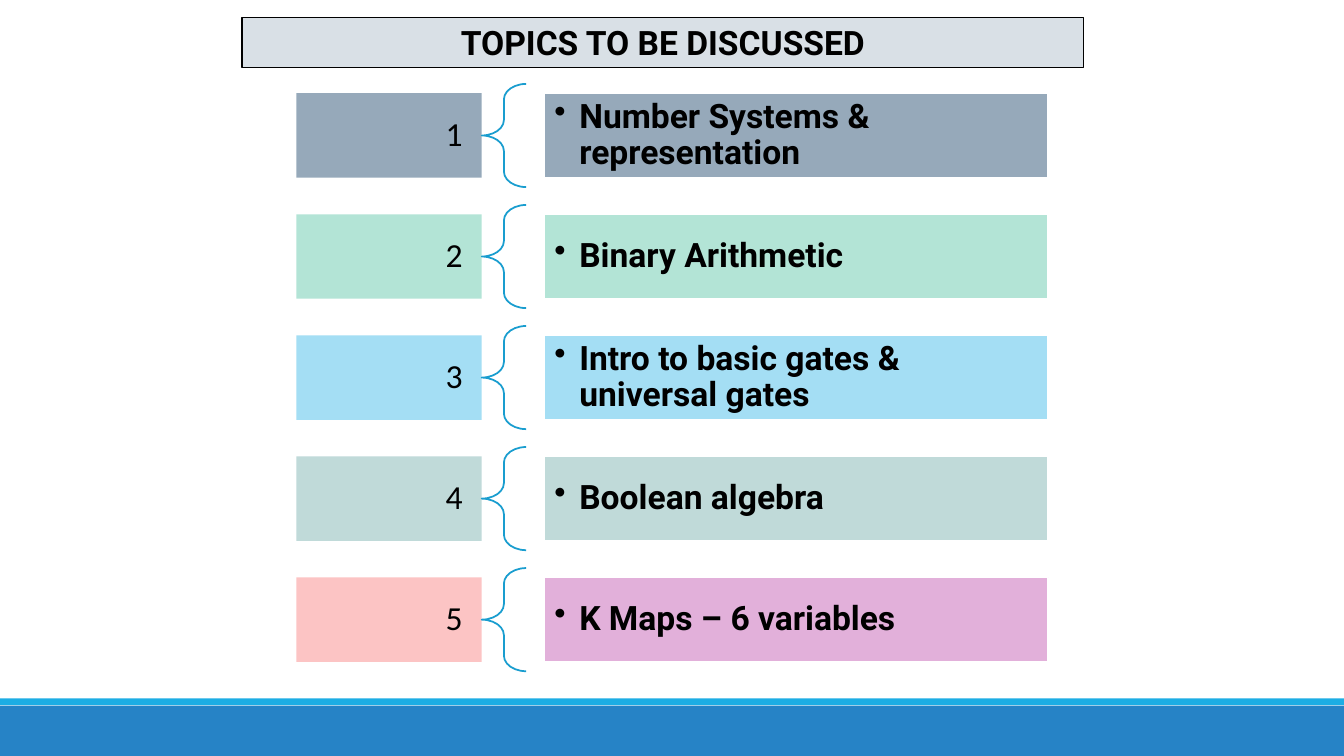
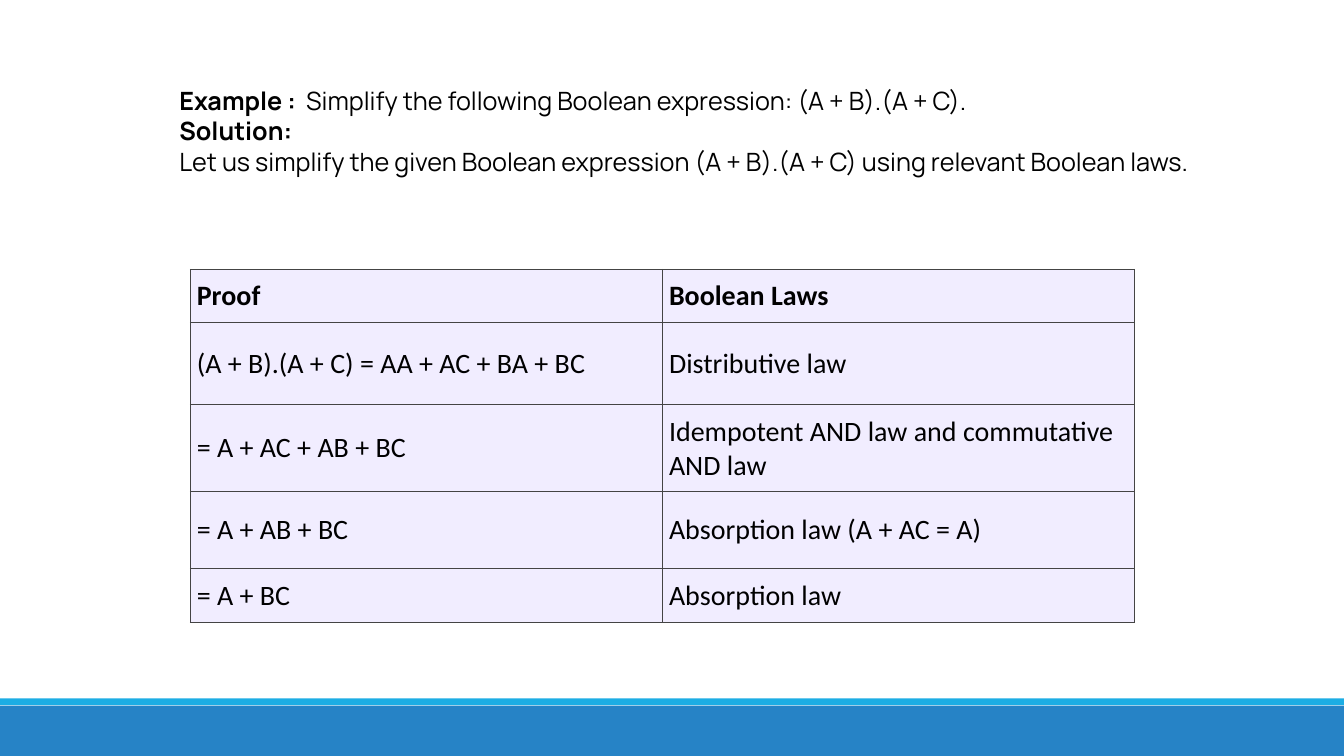
from lxml import etree
from pptx import Presentation
from pptx.dml.color import RGBColor
from pptx.enum.shapes import MSO_SHAPE
from pptx.enum.text import MSO_ANCHOR, PP_ALIGN
from pptx.oxml.ns import qn
from pptx.util import Cm, Pt

RECT = MSO_SHAPE.RECTANGLE
BRACE = MSO_SHAPE.LEFT_BRACE
MID = MSO_ANCHOR.MIDDLE
LEFT, CENTER, RIGHT = PP_ALIGN.LEFT, PP_ALIGN.CENTER, PP_ALIGN.RIGHT

HUES = {
    "band": "2683C6", "strip": "1CADE4", "brace": "199DCF",
    "title": "D9E0E6", "text": "000000", "edge": "FFFFFF",
    "slate": "96A9BA", "mint": "B3E4D6", "sky": "A4DEF4",
    "sage": "C0DAD9", "rose": "FCC4C4", "plum": "E2B0DA",
    "cell": "F1EDFF", "grid": "444444",
}
WIDE, HIGH = 33.87, 19.05


def add_box(slide, kind, x, y, w, h, fill=None, line=None, width=1.25):
    box = slide.shapes.add_shape(kind, Cm(x), Cm(y), Cm(w), Cm(h))
    box.shadow.inherit = False
    if fill:
        box.fill.solid()
        box.fill.fore_color.rgb = RGBColor.from_string(HUES[fill])
    else:
        box.fill.background()
    if line:
        box.line.color.rgb = RGBColor.from_string(HUES[line])
        box.line.width = Pt(width)
    else:
        box.line.fill.background()
    box.text_frame.word_wrap = True
    box.text_frame.vertical_anchor = MID
    return box


def add_run(para, text, face, size, bold=False, align=LEFT):
    para.alignment = align
    run = para.add_run()
    run.text = text
    run.font.name = face
    run.font.size = Pt(size)
    run.font.bold = bold
    run.font.color.rgb = RGBColor.from_string(HUES["text"])


deck = Presentation()
deck.slide_width, deck.slide_height = Cm(WIDE), Cm(HIGH)
slides = []
for _ in range(2):
    slide = deck.slides.add_slide(deck.slide_layouts[6])
    add_box(slide, RECT, 0, 17.78, WIDE, 1.27, "band")
    add_box(slide, RECT, 0, 17.6, WIDE, 0.17, "strip")
    slides.append(slide)
agenda, proof = slides

title = add_box(agenda, RECT, 6.1, 0.43, 21.21, 1.28, "title", "text", 0.75)
add_run(title.text_frame.paragraphs[0], "TOPICS TO BE DISCUSSED",
        "Roboto", 24, True, CENTER)

topics = [
    ("Number Systems & representation", "slate", "slate"),
    ("Binary Arithmetic", "mint", "mint"),
    ("Intro to basic gates & universal gates", "sky", "sky"),
    ("Boolean algebra", "sage", "sage"),
    ("K Maps – 6 variables", "rose", "plum"),
]
TOP, STEP, TALL, CURL = 2.35, 3.05, 2.13, 2.6
for i, (topic, left, right) in enumerate(topics):
    y = TOP + i * STEP
    tag = add_box(agenda, RECT, 7.47, y, 4.67, TALL, left)
    tag.text_frame.margin_left = tag.text_frame.margin_right = Cm(0.48)
    para = tag.text_frame.paragraphs[0]
    para.line_spacing = 0.9
    add_run(para, str(i + 1), "Calibri", 24, align=RIGHT)

    brace = add_box(agenda, BRACE, 12.14, y + (TALL - CURL) / 2,
                    1.12, CURL, line="brace")
    brace.adjustments[0] = 0.35

    card = add_box(agenda, RECT, 13.72, y, 12.7, TALL, right, "edge")
    frame = card.text_frame
    frame.margin_left = frame.margin_right = Cm(0.25)
    frame.margin_top = frame.margin_bottom = Cm(0.25)
    para = frame.paragraphs[0]
    props = para._p.get_or_add_pPr()
    props.set("marL", str(Cm(0.63)))
    props.set("indent", str(-Cm(0.63)))
    etree.SubElement(props, qn("a:buChar")).set("char", "•")
    para.line_spacing = 0.9
    add_run(para, topic, "Roboto", 24, True)

lines = [
    [("Example :  ", True),
     ("Simplify the following Boolean expression: (A + B).(A + C).", False)],
    [("Solution:", True)],
    [("Let us simplify the given Boolean expression (A + B).(A + C) "
      "using relevant Boolean laws.", False)],
]
note = proof.shapes.add_textbox(Cm(4.27), Cm(2.03), Cm(27.56), Cm(3.33))
frame = note.text_frame
frame.word_wrap = True
for i, runs in enumerate(lines):
    para = frame.add_paragraph() if i else frame.paragraphs[0]
    for text, bold in runs:
        add_run(para, text, "Manrope", 18, bold)

laws = [
    ("Proof", "Boolean Laws", 1.35),
    ("(A + B).(A + C) = AA + AC + BA + BC", "Distributive law", 2.06),
    ("= A + AC + AB + BC", "Idempotent AND law and commutative AND law", 2.17),
    ("= A + AB + BC", "Absorption law (A + AC = A)", 1.94),
    ("= A + BC", "Absorption law", 1.36),
]
table = proof.shapes.add_table(len(laws), 2, Cm(4.79), Cm(6.78),
                               Cm(23.8), Cm(8.88)).table
for col in table.columns:
    col.width = Cm(11.9)
for r, (*texts, tall) in enumerate(laws):
    table.rows[r].height = Cm(tall)
    for c, text in enumerate(texts):
        cell = table.cell(r, c)
        cell.vertical_anchor = MID
        cell.margin_left = cell.margin_right = Cm(0.17)
        cell.margin_top = cell.margin_bottom = Cm(0.25)
        props = cell._tc.get_or_add_tcPr()
        for side in "LRTB":
            last = side == "B" and r == len(laws) - 1
            edge = etree.SubElement(props, qn("a:ln" + side))
            edge.set("w", str(Pt(0.6 if last else 0.3)))
            fill = etree.SubElement(edge, qn("a:solidFill"))
            etree.SubElement(fill, qn("a:srgbClr")).set("val", HUES["grid"])
        cell.fill.solid()
        cell.fill.fore_color.rgb = RGBColor.from_string(HUES["cell"])
        add_run(cell.text_frame.paragraphs[0], text, "Calibri", 20, r == 0)

deck.save("out.pptx")
